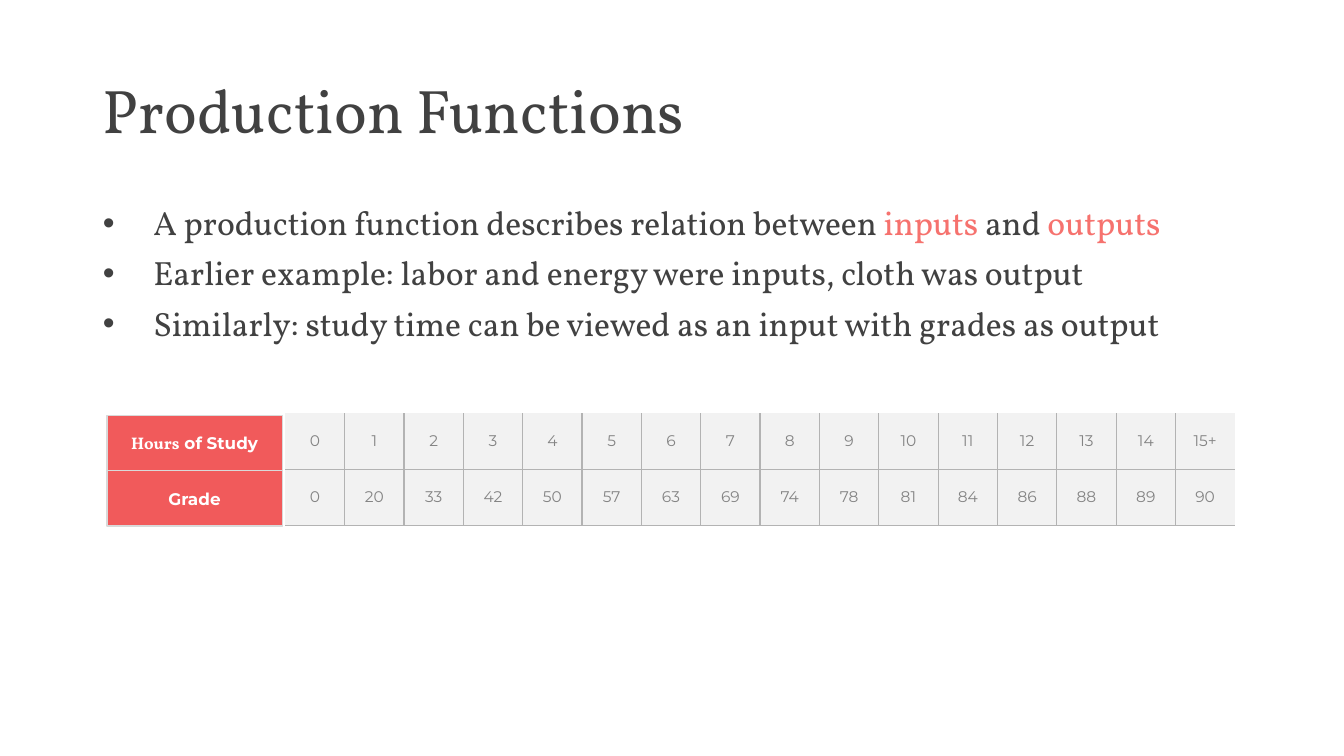
"""Build the Production Functions slide with its study hours and grade table."""
from lxml.etree import SubElement
from pptx import Presentation
from pptx.dml.color import RGBColor
from pptx.enum.shapes import MSO_SHAPE
from pptx.enum.text import MSO_ANCHOR, MSO_AUTO_SIZE, PP_ALIGN
from pptx.oxml.ns import qn
from pptx.util import Inches, Pt

COLORS = {
    "text": "414141",
    "accent": "F6726E",
    "header": "F15A5B",
    "header_line": "D9D9D9",
    "white": "FFFFFF",
    "cell": "F2F2F2",
    "cell_text": "848484",
    "border": "B3B3B3",
}


def add_run(paragraph, text, color, **font_format):
    run = paragraph.add_run()
    run.text = text
    run.font.color.rgb = RGBColor.from_string(COLORS[color])
    for name, value in font_format.items():
        setattr(run.font, name, value)


def add_border(cell, side, visible):
    line = SubElement(cell._tc.get_or_add_tcPr(), qn(f"a:ln{side}"), w=str(Pt(1)))
    if visible:
        fill = SubElement(line, qn("a:solidFill"))
        SubElement(fill, qn("a:srgbClr"), val=COLORS["border"])
    else:
        SubElement(line, qn("a:noFill"))


presentation = Presentation()
presentation.slide_width = Inches(13.33)
presentation.slide_height = Inches(7.5)
slide = presentation.slides.add_slide(presentation.slide_layouts[1])
title, body = slide.placeholders
for placeholder, top, height, anchor in [
    (title, 0.4, 1.45, MSO_ANCHOR.MIDDLE),
    (body, 2, 4.76, MSO_ANCHOR.TOP),
]:
    box_format = {"left": Inches(0.92), "top": Inches(top), "width": Inches(11.5), "height": Inches(height)}
    for name, value in box_format.items():
        setattr(placeholder, name, value)
    placeholder.text_frame.auto_size = MSO_AUTO_SIZE.NONE
    placeholder.text_frame.vertical_anchor = anchor

paragraph = title.text_frame.paragraphs[0]
paragraph.alignment = PP_ALIGN.LEFT
paragraph.line_spacing = 0.9
add_run(paragraph, "Production Functions", "text", size=Pt(44), name="Vollkorn")

bullets = [
    [
        ("A production function describes relation between ", "text"),
        ("inputs", "accent"),
        (" and ", "text"),
        ("outputs", "accent"),
    ],
    [("Earlier example: labor and energy were inputs, cloth was output", "text")],
    [("Similarly: study time can be viewed as an input with grades as output", "text")],
]
for index, bullet in enumerate(bullets):
    paragraph = body.text_frame.add_paragraph() if index else body.text_frame.paragraphs[0]
    paragraph.line_spacing = 0.9
    paragraph.space_before = Pt(10)
    properties = paragraph._p.get_or_add_pPr()
    properties.set("marL", str(Inches(0.5)))
    properties.set("indent", str(Inches(-0.5)))
    SubElement(properties, qn("a:buFont"), typeface="Arial")
    SubElement(properties, qn("a:buChar"), char="•")
    for text, color in bullet:
        add_run(paragraph, text, color, size=Pt(24), name="Vollkorn")

hours = [*range(15), "15+"]
grades = [0, 20, 33, 42, 50, 57, 63, 69, 74, 78, 81, 84, 86, 88, 89, 90]
rows = [hours, grades]
column_count = len(hours)
table_width, table_height = Inches(9.42), Inches(1.11)
table = slide.shapes.add_table(
    len(rows), column_count, Inches(2.83), Inches(4.1), table_width, table_height
).table
table.first_row = False
table.horz_banding = False
for column in table.columns:
    column.width = table_width // column_count
for row_index, values in enumerate(rows):
    table.rows[row_index].height = table_height // len(rows)
    for column_index, value in enumerate(values):
        cell = table.cell(row_index, column_index)
        cell_format = {"margin_left": 0, "margin_right": 0, "margin_top": 0, "margin_bottom": 0,
                       "vertical_anchor": MSO_ANCHOR.MIDDLE}
        for name, setting in cell_format.items():
            setattr(cell, name, setting)
        add_border(cell, "L", column_index > 0)
        add_border(cell, "R", column_index < column_count - 1)
        add_border(cell, "T", row_index > 0)
        add_border(cell, "B", True)
        cell.fill.solid()
        cell.fill.fore_color.rgb = RGBColor.from_string(COLORS["cell"])
        paragraph = cell.text_frame.paragraphs[0]
        paragraph.alignment = PP_ALIGN.CENTER
        add_run(paragraph, str(value), "cell_text", size=Pt(11), name="Montserrat")

row_headers = [
    [("Hours", "Vollkorn"), (" of Study", "Montserrat")],
    [("Grade", "Montserrat")],
]
for index, header_runs in enumerate(row_headers):
    header = slide.shapes.add_shape(
        MSO_SHAPE.RECTANGLE, Inches(1.06), Inches(4.12 + 0.55 * index), Inches(1.74), Inches(0.55)
    )
    header.shadow.inherit = False
    header.fill.solid()
    header.fill.fore_color.rgb = RGBColor.from_string(COLORS["header"])
    header.line.color.rgb = RGBColor.from_string(COLORS["header_line"])
    header.line.width = Pt(1)
    frame_format = {"margin_top": 0, "margin_bottom": 0, "word_wrap": True,
                    "vertical_anchor": MSO_ANCHOR.MIDDLE}
    for name, value in frame_format.items():
        setattr(header.text_frame, name, value)
    paragraph = header.text_frame.paragraphs[0]
    paragraph.alignment = PP_ALIGN.CENTER
    for text, font_name in header_runs:
        add_run(paragraph, text, "white", size=Pt(12), name=font_name, bold=True)

presentation.save("out.pptx")
